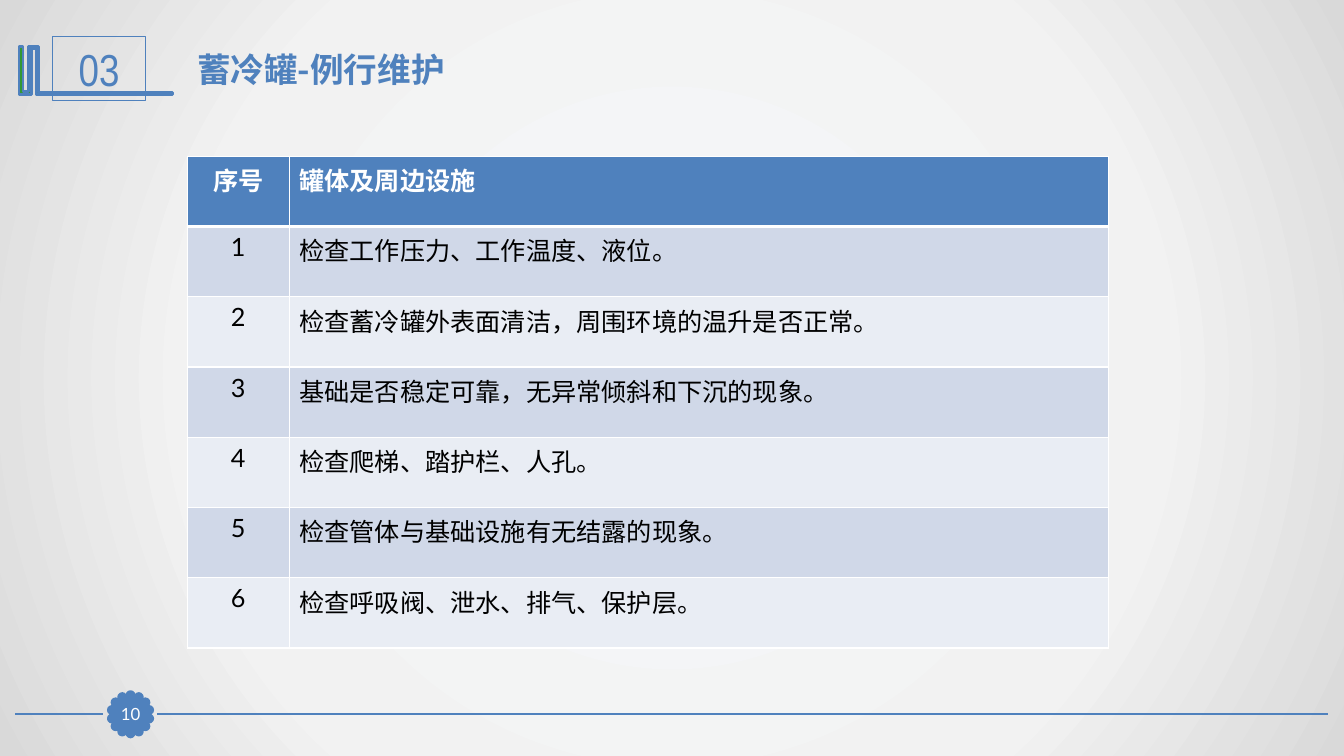
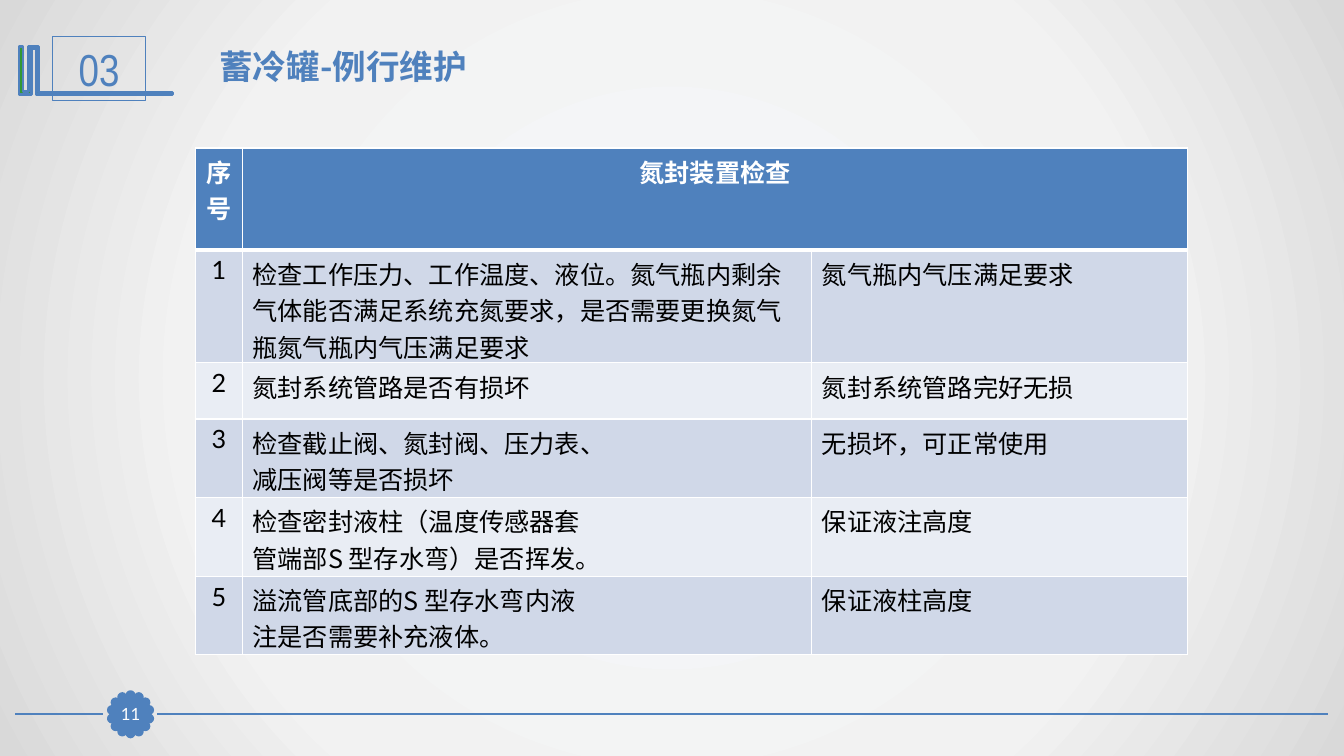
import math

import pptx
import pptx.dml.color
import pptx.enum.shapes
import pptx.enum.text
import pptx.oxml
import pptx.oxml.ns
import pptx.util

Cm = pptx.util.Cm
Pt = pptx.util.Pt
colour = pptx.dml.color.RGBColor.from_string
qn = pptx.oxml.ns.qn
SHAPE = pptx.enum.shapes.MSO_SHAPE
LEFT = pptx.enum.text.PP_ALIGN.LEFT
CENTER = pptx.enum.text.PP_ALIGN.CENTER
MIDDLE = pptx.enum.text.MSO_ANCHOR.MIDDLE
GROW = pptx.enum.text.MSO_AUTO_SIZE.SHAPE_TO_FIT_TEXT
NAMESPACE = pptx.oxml.ns.nsdecls("a")

BLUE, WHITE, BLACK, GREEN = "4F81BD", "FFFFFF", "000000", "339933"
BANDS = ["D0D8E8", "E9EDF4"]
CHINESE_FONT, LATIN_FONT = "Noto Sans CJK SC", "Lato"

TITLE = {"size": Pt(24), "name": CHINESE_FONT, "bold": True}
SECTION = {"size": Pt(32), "name": "Arial Narrow"}
PAGE = {"size": Pt(12), "name": LATIN_FONT}
HEADER = {"size": Pt(18), "name": LATIN_FONT, "bold": True}
BODY = {"size": Pt(18), "name": LATIN_FONT, "bold": False}

FOOTER_Y = 18
FOOTER_LINES = [(0.38, 2.59), (3.96, 33.48)]
SEAL_X, SEAL_RADIUS, DOT_SIZE, DOT_COUNT = 3.29, 0.48, 0.18, 14
BOOKS_OUTLINE = [
    (0.94, 1.17), (0.97, 1.17), (0.97, 2.34), (4.34, 2.34), (4.34, 2.39), (0.91, 2.39),
    (0.91, 1.22), (0.79, 1.22), (0.79, 2.39), (0.48, 2.39), (0.48, 1.17), (0.58, 1.17),
    (0.58, 2.31), (0.71, 2.31), (0.71, 1.17),
]

# Table cells hold one paragraph per line
SLIDES = [
    {
        "title_box": (4.72, 1.12, 24.61, 1.27),
        "table_at": (4.72, 3.94),
        "columns": [2.57, 20.65],
        "row_heights": [1.77] * 7,
        "header_alignment": LEFT,
        "rows": [
            ["序号", "罐体及周边设施"],
            ["1", "检查工作压力、工作温度、液位。"],
            ["2", "检查蓄冷罐外表面清洁，周围环境的温升是否正常。"],
            ["3", "基础是否稳定可靠，无异常倾斜和下沉的现象。"],
            ["4", "检查爬梯、踏护栏、人孔。"],
            ["5", "检查管体与基础设施有无结露的现象。"],
            ["6", "检查呼吸阀、泄水、排气、保护层。"],
        ],
    },
    {
        "title_box": (5.28, 1.02, 11.86, 1.27),
        "table_at": (4.93, 3.73),
        "columns": [1.18, 14.35, 9.47],
        "row_heights": [2.57, 2.84, 1.42] + [1.98] * 3,
        "header_alignment": CENTER,
        "rows": [
            ["序号", "氮封装置检查"],
            ["1", "检查工作压力、工作温度、液位。氮气瓶内剩余气体能否满足系统充氮要求，"
                  "是否需要更换氮气瓶氮气瓶内气压满足要求", "氮气瓶内气压满足要求"],
            ["2", "氮封系统管路是否有损坏", "氮封系统管路完好无损"],
            ["3", "检查截止阀、氮封阀、压力表、\n减压阀等是否损坏", "无损坏，可正常使用"],
            ["4", "检查密封液柱（温度传感器套\n管端部S 型存水弯）是否挥发。", "保证液注高度"],
            ["5", "溢流管底部的S 型存水弯内液\n注是否需要补充液体。", "保证液柱高度"],
        ],
    },
]


def write(frame, text, values, hex_colour, alignment=LEFT):
    """Fill a text frame, one paragraph per line, with Latin and Chinese fonts."""
    for index, line in enumerate(text.split("\n")):
        paragraph = frame.add_paragraph() if index else frame.paragraphs[0]
        paragraph.alignment = alignment
        run = paragraph.add_run()
        run.text = line
        for name, value in values.items():
            setattr(run.font, name, value)
        run.font.color.rgb = colour(hex_colour)
        run._r.get_or_add_rPr().append(
            pptx.oxml.parse_xml(f'<a:ea {NAMESPACE} typeface="{CHINESE_FONT}"/>'))


def paint(shape, fill, line_width):
    shape.shadow.inherit = False
    if fill:
        shape.fill.solid()
        shape.fill.fore_color.rgb = colour(fill)
    else:
        shape.fill.background()
    shape.line.color.rgb = colour(BLUE)
    shape.line.width = Pt(line_width)


presentation = pptx.Presentation()
presentation.slide_width = Cm(33.87)
presentation.slide_height = Cm(19.05)

# Radial background, set once on the master
master = presentation.slide_master
master.background.fill.gradient()
gradient = master._element.find(".//" + qn("p:bgPr") + "/" + qn("a:gradFill"))
stops = "".join(
    f'<a:gs pos="{position * 1000}"><a:srgbClr val="{value}"/></a:gs>'
    for position, value in [(0, "F6F9FC"), (63, "F2F2F2"), (100, "D9D9D9")])
gradient.getparent().replace(gradient, pptx.oxml.parse_xml(
    f'<a:gradFill {NAMESPACE} rotWithShape="1"><a:gsLst>{stops}</a:gsLst><a:path path="circle">'
    '<a:fillToRect l="50000" t="50000" r="50000" b="50000"/></a:path></a:gradFill>'))

for page_number, content in enumerate(SLIDES, start=10):
    slide = presentation.slides.add_slide(presentation.slide_layouts[6])
    shapes = slide.shapes

    # Footer line and page seal
    for start, end in FOOTER_LINES:
        footer_line = shapes.add_connector(
            pptx.enum.shapes.MSO_CONNECTOR.STRAIGHT,
            Cm(start), Cm(FOOTER_Y), Cm(end), Cm(FOOTER_Y))
        footer_line.line.color.rgb = colour(BLUE)
        footer_line.line.width = Pt(1.25)
        footer_line._element.spPr.append(pptx.oxml.parse_xml(f"<a:effectLst {NAMESPACE}/>"))
    seal = shapes.add_group_shape()
    for index in range(DOT_COUNT):
        angle = 2 * math.pi * index / DOT_COUNT
        dot = seal.shapes.add_shape(
            SHAPE.OVAL,
            Cm(SEAL_X + SEAL_RADIUS * math.sin(angle) - DOT_SIZE / 2),
            Cm(FOOTER_Y - SEAL_RADIUS * math.cos(angle) - DOT_SIZE / 2),
            Cm(DOT_SIZE), Cm(DOT_SIZE))
        paint(dot, BLUE, 2)
    page_box = shapes.add_shape(
        SHAPE.RECTANGLE, Cm(SEAL_X - 0.4), Cm(FOOTER_Y - 0.4), Cm(0.8), Cm(0.8))
    paint(page_box, BLUE, 0.75)
    for side in ("left", "top", "right", "bottom"):
        setattr(page_box.text_frame, f"margin_{side}", 0)
    page_box.text_frame.vertical_anchor = MIDDLE
    write(page_box.text_frame, str(page_number), PAGE, WHITE, CENTER)

    # Section mark and title
    outline = [(Cm(x), Cm(y)) for x, y in BOOKS_OUTLINE]
    builder = shapes.build_freeform(*outline[0])
    builder.add_line_segments(outline[1:], close=True)
    paint(builder.convert_to_shape(), GREEN, 2)
    section_box = shapes.add_shape(SHAPE.RECTANGLE, Cm(1.32), Cm(0.91), Cm(2.36), Cm(1.63))
    paint(section_box, None, 0.75)
    section_box.text_frame.vertical_anchor = MIDDLE
    section_box.text_frame.auto_size = GROW
    write(section_box.text_frame, "03", SECTION, BLUE, CENTER)
    title = shapes.add_textbox(*[Cm(length) for length in content["title_box"]])
    title.text_frame.word_wrap = True
    title.text_frame.auto_size = GROW
    write(title.text_frame, "蓄冷罐-例行维护", TITLE, BLUE)

    # Inspection table
    columns, heights = content["columns"], content["row_heights"]
    left, top = content["table_at"]
    table = shapes.add_table(
        len(heights), len(columns), Cm(left), Cm(top), Cm(sum(columns)), Cm(sum(heights))).table
    for column, width in zip(table.columns, columns):
        column.width = Cm(width)
    for row, height in zip(table.rows, heights):
        row.height = Cm(height)
    if len(columns) > 2:
        table.cell(0, 1).merge(table.cell(0, len(columns) - 1))

    for row_index, row in enumerate(table.rows):
        is_header = row_index == 0
        for cell in row.cells:
            properties = cell._tc.get_or_add_tcPr()
            for side in "LRTB":
                thick = (is_header and side == "B") or (row_index == 1 and side == "T")
                properties.append(pptx.oxml.parse_xml(
                    f'<a:ln{side} {NAMESPACE} w="{Pt(3 if thick else 1)}"><a:solidFill>'
                    f'<a:srgbClr val="{WHITE}"/></a:solidFill></a:ln{side}>'))
            cell.fill.solid()
            cell.fill.fore_color.rgb = colour(BLUE if is_header else BANDS[(row_index - 1) % 2])
            cell.margin_bottom = 0
        for column_index, text in enumerate(content["rows"][row_index]):
            values = HEADER if is_header else BODY
            if "S" in text:
                values = values | {"name": CHINESE_FONT}
            alignment = content["header_alignment"] if is_header else LEFT
            write(table.cell(row_index, column_index).text_frame, text, values,
                  WHITE if is_header else BLACK, alignment if column_index else CENTER)

presentation.save("out.pptx")
